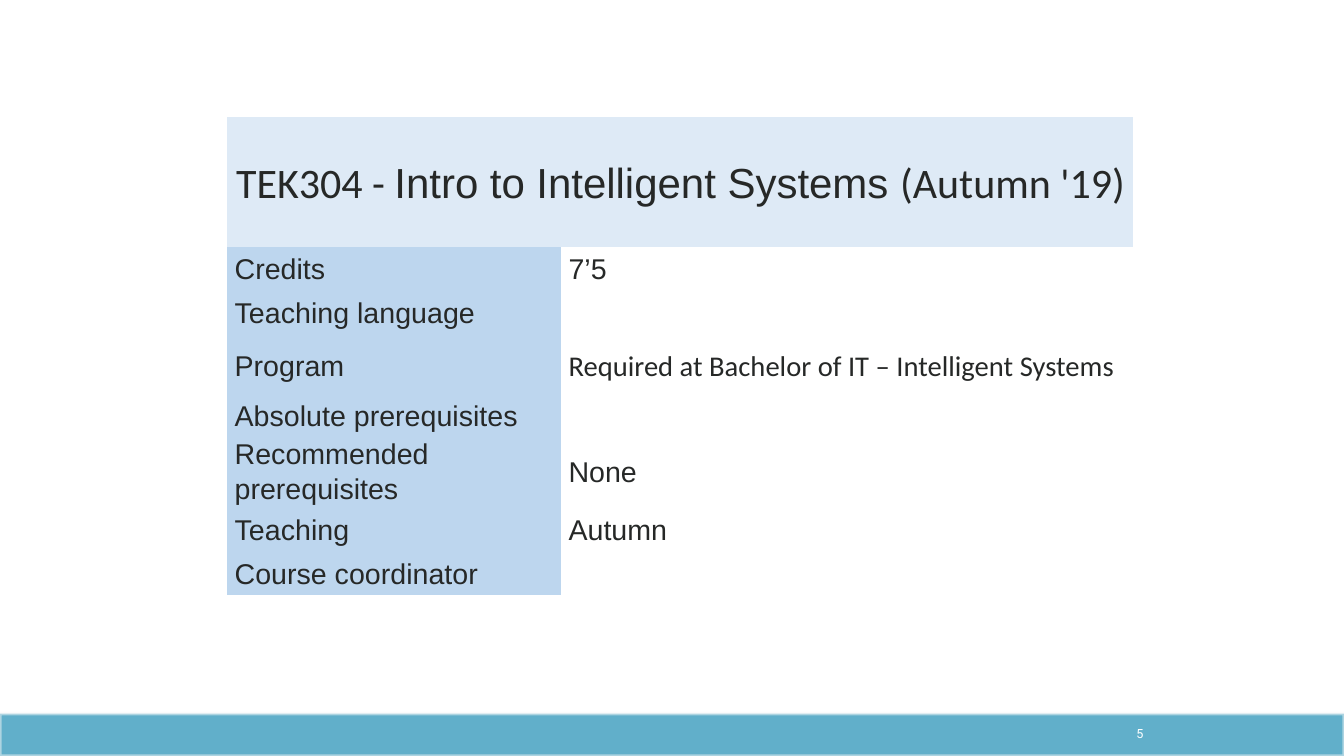
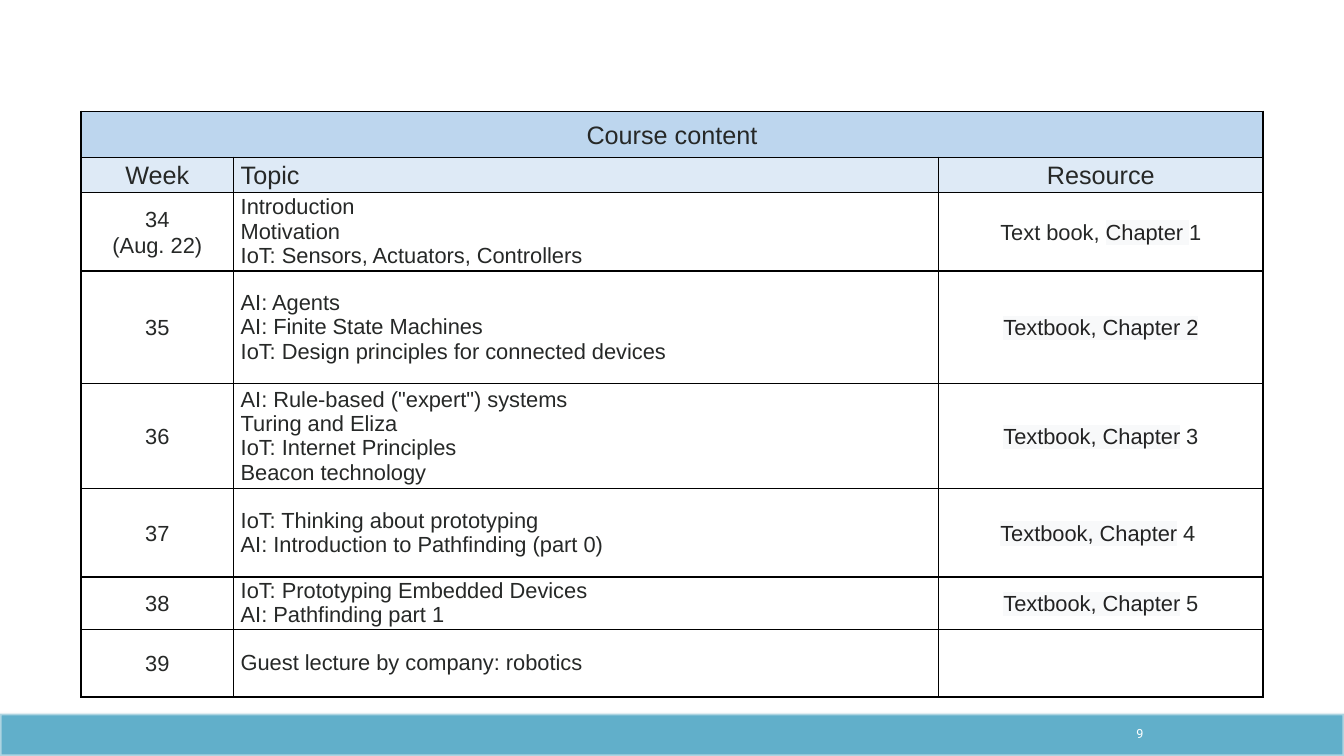
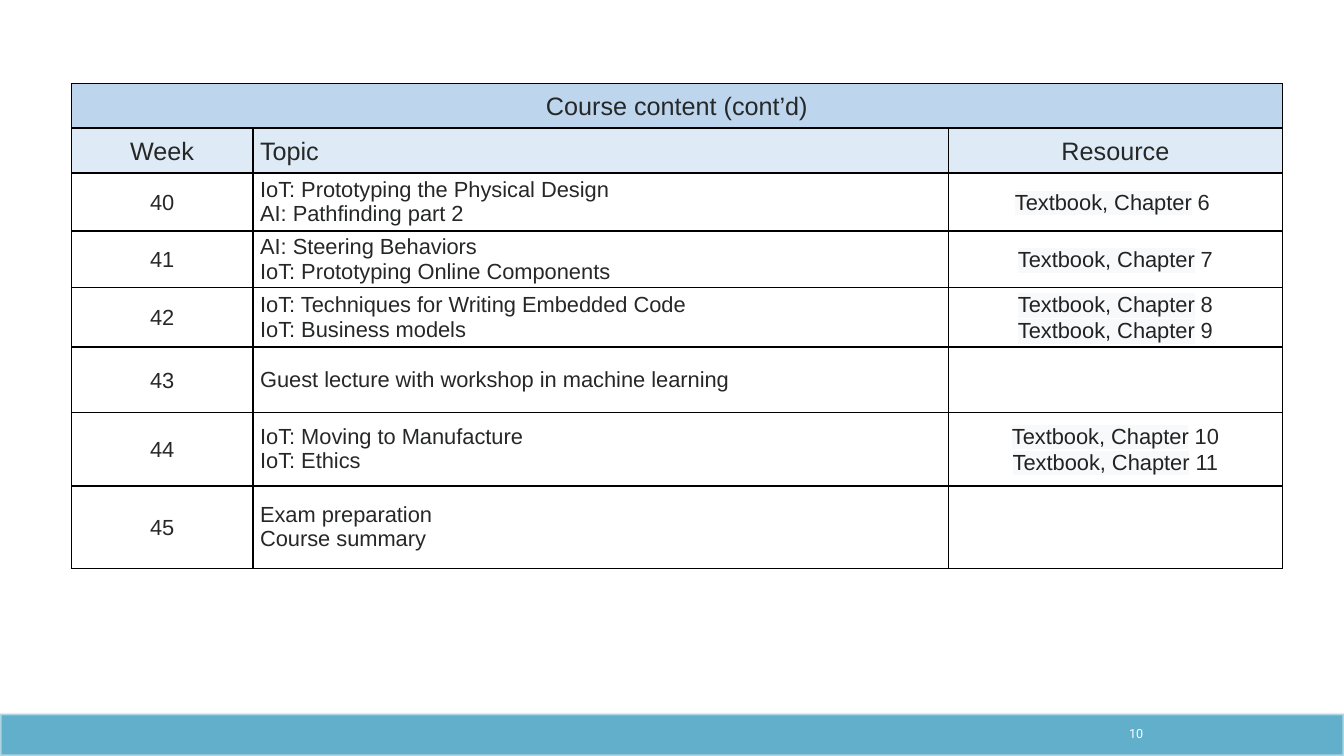
"""Build three course-information slides with tables and a shared footer band."""
from dataclasses import dataclass
from typing import Optional

from lxml import etree
from pptx import Presentation
from pptx import util as u
from pptx.dml.color import RGBColor
from pptx.enum import shapes, text
from pptx.oxml import ns

INK = RGBColor(0x26, 0x28, 0x27)
QUOTE_INK = RGBColor(0x22, 0x22, 0x22)
QUOTE_BACK = RGBColor(0xF8, 0xF9, 0xFA)
BLACK = RGBColor(0, 0, 0)
WHITE = RGBColor(0xFF, 0xFF, 0xFF)
BAND = RGBColor(0x61, 0xAF, 0xCA)
BAND_EDGE = RGBColor(0xF9, 0xF9, 0xF9)
PALE_BLUE = RGBColor(0xDE, 0xEA, 0xF6)
MID_BLUE = RGBColor(0xBD, 0xD6, 0xEE)

SLIDE_WIDTH, SLIDE_HEIGHT = 11.11, 6.25
BAND_TOP = 5.9
LOOSE = 1.07
NO_GRID_STYLE = "{2D5ABB26-0587-4C30-8999-92F81FD0307C}"
LEFT, CENTER, RIGHT = text.PP_ALIGN.LEFT, text.PP_ALIGN.CENTER, text.PP_ALIGN.RIGHT


@dataclass
class Span:
    """A stretch of text with its own font or highlight."""
    words: str
    font: str = "Arial"
    quoted: bool = False


@dataclass
class CellStyle:
    """The look of one table cell."""
    size: float
    align: text.PP_ALIGN = LEFT
    spacing: float = LOOSE
    fill: Optional[RGBColor] = None


def chapter(number):
    """Return a textbook reference with a highlighted lead."""
    return [Span("Textbook, Chapter", quoted=True), Span(f" {number}")]


COURSE_TITLE = [
    Span("TEK304 - ", "Calibri"),
    Span("Intro to Intelligent Systems "),
    Span("(Autumn '19)", "Calibri"),
]
COURSE_FACTS = [
    ("Credits", ["7’5"]),
    ("Teaching language", []),
    ("Program", [[Span("Required at Bachelor of IT – Intelligent Systems", "Calibri")]]),
    ("Absolute prerequisites", []),
    ("Recommended prerequisites", ["None"]),
    ("Teaching", ["Autumn"]),
    ("Course coordinator", []),
]
FIRST_WEEKS = [
    (["34", "(Aug. 22)"],
     ["Introduction", "Motivation", "IoT: Sensors, Actuators, Controllers"],
     [[Span("Text book, "), Span("Chapter ", quoted=True), Span("1")]]),
    (["35"],
     ["AI: Agents", "AI: Finite State Machines",
      "IoT: Design principles for connected devices"],
     [[Span("Textbook, Chapter 2", quoted=True)]]),
    (["36"],
     ['AI: Rule-based ("expert") systems', "Turing and Eliza",
      "IoT: Internet Principles", "Beacon technology"],
     [chapter("3")]),
    (["37"],
     ["IoT: Thinking about prototyping", "AI: Introduction to Pathfinding (part 0)"],
     [chapter("4 ")]),
    (["38"], ["IoT: Prototyping Embedded Devices", "AI: Pathfinding part 1"], [chapter("5")]),
    (["39"], ["Guest lecture by company: robotics"], []),
]
LAST_WEEKS = [
    (["40"], ["IoT: Prototyping the Physical Design", "AI: Pathfinding part 2"],
     [chapter("6 ")]),
    (["41"], ["AI: Steering Behaviors", "IoT: Prototyping Online Components"],
     [chapter("7")]),
    (["42"], ["IoT: Techniques for Writing Embedded Code", "IoT: Business models"],
     [chapter("8"), chapter("9")]),
    (["43"], ["Guest lecture with workshop in machine learning"], []),
    (["44"], ["IoT: Moving to Manufacture", "IoT: Ethics"], [chapter("10"), chapter("11")]),
    (["45"], ["Exam preparation", "Course summary"], []),
]


def add_color(parent, tag, color):
    """Append an element holding one RGB colour."""
    holder = etree.SubElement(parent, ns.qn(tag))
    etree.SubElement(holder, ns.qn("a:srgbClr"), val=str(color))
    return holder


def style_run(run, size, color, font):
    """Set size, colour and font of a run."""
    run.font.size = u.Pt(size)
    run.font.color.rgb = color
    run.font.name = font


def highlight(run):
    """Put the quote background behind a run."""
    properties = run.font._element
    mark = add_color(properties, "a:highlight", QUOTE_BACK)
    properties.find(ns.qn("a:solidFill")).addnext(mark)


def add_borders(cell):
    """Draw a thin black line on all sides of a cell."""
    properties = cell._tc.get_or_add_tcPr()
    for side in "LRTB":
        line = etree.SubElement(properties, ns.qn(f"a:ln{side}"), w=str(u.Pt(1)))
        add_color(line, "a:solidFill", BLACK)


def fill_cell(cell, lines, style):
    """Write lines, each a string or a list of spans, into a cell."""
    cell.margin_left = cell.margin_right = u.Inches(0.06)
    cell.margin_top = cell.margin_bottom = 0
    cell.vertical_anchor = text.MSO_ANCHOR.MIDDLE
    if style.fill is None:
        cell.fill.background()
    else:
        cell.fill.solid()
        cell.fill.fore_color.rgb = style.fill
    frame = cell.text_frame
    for index, line in enumerate(lines):
        para = frame.add_paragraph() if index else frame.paragraphs[0]
        para.alignment = style.align
        para.line_spacing = style.spacing
        for span in [Span(line)] if isinstance(line, str) else line:
            run = para.add_run()
            run.text = span.words
            style_run(run, style.size, QUOTE_INK if span.quoted else INK, span.font)
            if span.quoted:
                highlight(run)


def add_grid(page, left, top, widths, heights, bordered):
    """Add an unstyled table whose first row is merged."""
    graphic = page.shapes.add_table(
        len(heights), len(widths), u.Inches(left), u.Inches(top),
        u.Inches(sum(widths)), u.Inches(sum(heights)))
    for style_id in graphic._element.iter(ns.qn("a:tableStyleId")):
        style_id.text = NO_GRID_STYLE
    table = graphic.table
    table.first_row = table.horz_banding = False
    for column, width in zip(table.columns, widths):
        column.width = u.Inches(width)
    for row, height in zip(table.rows, heights):
        row.height = u.Inches(height)
    if bordered:
        for cell in table.iter_cells():
            add_borders(cell)
    table.cell(0, 0).merge(table.cell(0, len(widths) - 1))
    return table


def add_facts(page):
    """Add the course fact table."""
    table = add_grid(page, 1.88, 0.97, [2.76, 4.73],
                     [1.07, 0.36, 0.36, 0.52, 0.31, 0.61, 0.36, 0.36], False)
    fill_cell(table.cell(0, 0), [COURSE_TITLE], CellStyle(25, CENTER, fill=PALE_BLUE))
    for row, (label, value) in enumerate(COURSE_FACTS, 1):
        fill_cell(table.cell(row, 0), [label], CellStyle(17, fill=MID_BLUE))
        fill_cell(table.cell(row, 1), value, CellStyle(17, fill=WHITE))


def add_schedule(page, title, weeks, left, top, widths, heights):
    """Add a week-by-week table of topics and resources."""
    table = add_grid(page, left, top, widths, heights, True)
    fill_cell(table.cell(0, 0), [title], CellStyle(15, CENTER, fill=MID_BLUE))
    aligns = [CENTER, LEFT, CENTER]
    for column, heading in enumerate(["Week", "Topic", "Resource"]):
        fill_cell(table.cell(1, column), [heading],
                  CellStyle(15, aligns[column], fill=PALE_BLUE))
    spacings = [LOOSE, 1.0, LOOSE]
    for row, week in enumerate(weeks, 2):
        for column, lines in enumerate(week):
            fill_cell(table.cell(row, column), lines,
                      CellStyle(13, aligns[column], spacings[column]))


def add_footer(page, number):
    """Add the bottom band and the page number."""
    band = page.shapes.add_shape(
        shapes.MSO_SHAPE.RECTANGLE, 0, u.Inches(BAND_TOP),
        u.Inches(SLIDE_WIDTH), u.Inches(SLIDE_HEIGHT - BAND_TOP))
    band.shadow.inherit = False
    band.fill.solid()
    band.fill.fore_color.rgb = BAND
    band.line.color.rgb = BAND_EDGE
    band.line.width = u.Pt(2)
    edge = band._element.spPr.find(ns.qn("a:ln"))
    etree.SubElement(next(edge.iter(ns.qn("a:srgbClr"))), ns.qn("a:alpha"), val="49000")

    box = page.shapes.add_textbox(
        u.Inches(7.66), u.Inches(BAND_TOP), u.Inches(1.89), u.Inches(0.33))
    frame = box.text_frame
    frame.word_wrap = True
    frame.vertical_anchor = text.MSO_ANCHOR.MIDDLE
    frame.text = str(number)
    para = frame.paragraphs[0]
    para.alignment = RIGHT
    style_run(para.runs[0], 7.5, WHITE, "Roboto")


def add_page(deck, number):
    """Add a blank slide with the shared footer."""
    page = deck.slides.add_slide(deck.slide_layouts[6])
    add_footer(page, number)
    return page


def main():
    """Build and save the deck."""
    deck = Presentation()
    deck.slide_width = u.Inches(SLIDE_WIDTH)
    deck.slide_height = u.Inches(SLIDE_HEIGHT)
    add_facts(add_page(deck, 5))
    add_schedule(add_page(deck, 9), "Course content", FIRST_WEEKS, 0.67, 0.92,
                 [1.26, 5.83, 2.68], [0.38, 0.29, 0.6, 0.93, 0.81, 0.73, 0.4, 0.56])
    add_schedule(add_page(deck, 10), "Course content (cont’d)", LAST_WEEKS, 0.59, 0.69,
                 [1.5, 5.75, 2.76], [0.37, 0.37, 0.48, 0.47, 0.49, 0.54, 0.61, 0.68])
    deck.save("out.pptx")


if __name__ == "__main__":
    main()
